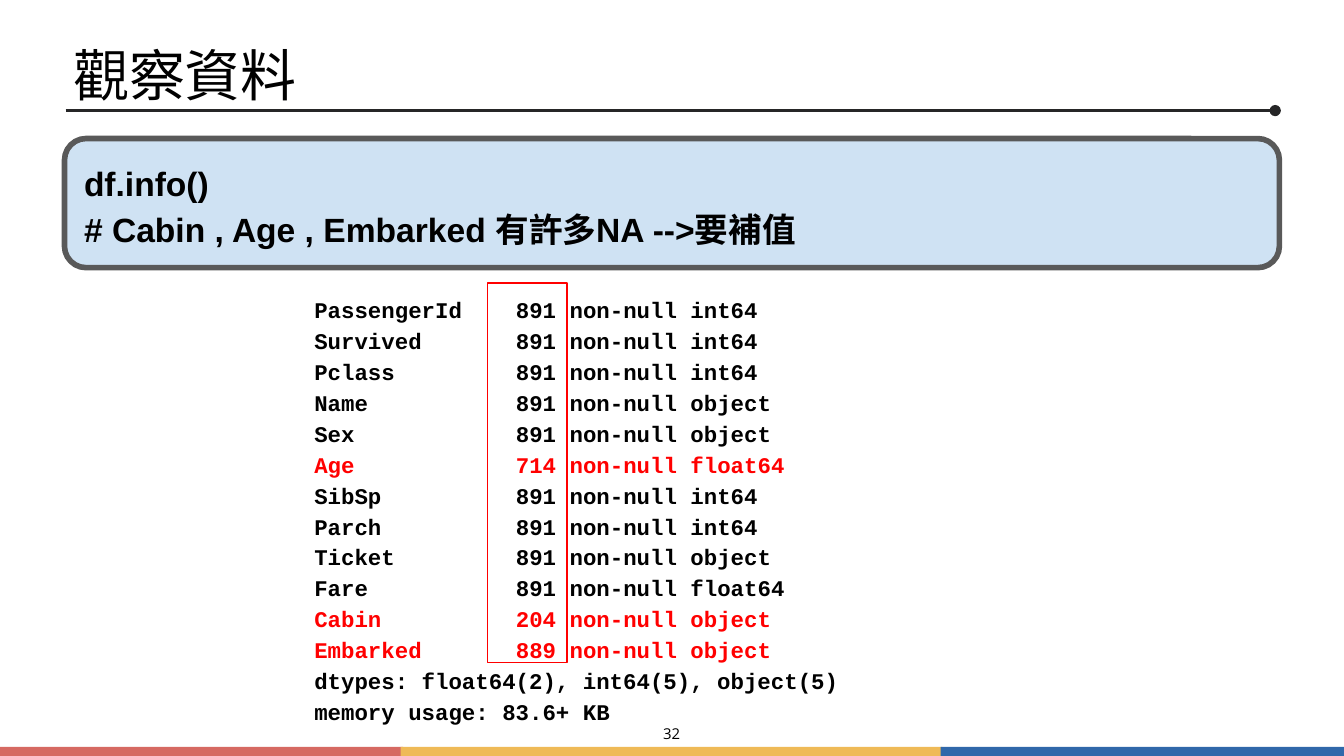
from dataclasses import dataclass

from lxml.etree import SubElement
from pptx import Presentation
from pptx.dml.color import RGBColor
from pptx.enum.shapes import MSO_CONNECTOR, MSO_SHAPE
from pptx.enum.text import MSO_ANCHOR, MSO_AUTO_SIZE, PP_ALIGN
from pptx.oxml.ns import qn
from pptx.shapes.autoshape import Shape
from pptx.slide import Slide
from pptx.text.text import TextFrame, _Paragraph
from pptx.util import Cm, Pt

BLACK = RGBColor(0x00, 0x00, 0x00)
RED = RGBColor(0xFF, 0x00, 0x00)
RULE_GREY = RGBColor(0x26, 0x26, 0x27)
BORDER_GREY = RGBColor(0x59, 0x59, 0x59)
PALE_BLUE = RGBColor(0xCF, 0xE2, 0xF3)
STRIPE_RED = RGBColor(0xD6, 0x69, 0x62)
STRIPE_YELLOW = RGBColor(0xEF, 0xBA, 0x57)
STRIPE_BLUE = RGBColor(0x30, 0x68, 0xAA)


@dataclass(frozen=True)
class Area:
    """A rectangle in centimetres."""
    left: float
    top: float
    width: float
    height: float

    def lengths(self) -> tuple[Cm, Cm, Cm, Cm]:
        return Cm(self.left), Cm(self.top), Cm(self.width), Cm(self.height)


@dataclass(frozen=True)
class Stripe:
    left: float
    width: float
    color: RGBColor


@dataclass(frozen=True)
class Column:
    name: str
    count: int
    dtype: str


STRIPES = [
    Stripe(-0.05, 7.67, STRIPE_RED),
    Stripe(7.57, 10.24, STRIPE_YELLOW),
    Stripe(17.78, 7.67, STRIPE_BLUE),
]
ROW_TOTAL = 891
COLUMNS = [
    Column("PassengerId", 891, "int64"),
    Column("Survived", 891, "int64"),
    Column("Pclass", 891, "int64"),
    Column("Name", 891, "object"),
    Column("Sex", 891, "object"),
    Column("Age", 714, "float64"),
    Column("SibSp", 891, "int64"),
    Column("Parch", 891, "int64"),
    Column("Ticket", 891, "object"),
    Column("Fare", 891, "float64"),
    Column("Cabin", 204, "object"),
    Column("Embarked", 889, "object"),
]
SUMMARY = ["dtypes: float64(2), int64(5), object(5)", "memory usage: 83.6+ KB"]
CALLOUT = ["df.info()", "# Cabin , Age , Embarked 有許多NA -->要補值"]


def set_frame(frame: TextFrame, inset: float, anchor: MSO_ANCHOR) -> None:
    frame.word_wrap = True
    frame.auto_size = MSO_AUTO_SIZE.NONE
    frame.vertical_anchor = anchor
    frame.margin_left = frame.margin_right = Cm(inset)
    frame.margin_top = frame.margin_bottom = Cm(inset)


def next_para(frame: TextFrame, index: int) -> _Paragraph:
    para = frame.paragraphs[0] if index == 0 else frame.add_paragraph()
    para.alignment = PP_ALIGN.LEFT
    para.line_spacing = 1.15
    return para


def add_span(para: _Paragraph, text: str, font: str, size: float,
             color: RGBColor = BLACK, bold: bool = False) -> None:
    span = para.add_run()
    span.text = text
    span.font.name = font
    span.font.size = Pt(size)
    span.font.bold = bold
    span.font.color.rgb = color


def add_block(page: Slide, kind: MSO_SHAPE, area: Area, fill: RGBColor | None = None,
              line: RGBColor | None = None, weight: float = 0) -> Shape:
    block = page.shapes.add_shape(kind, *area.lengths())
    block.shadow.inherit = False
    if fill is None:
        block.fill.background()
    else:
        block.fill.solid()
        block.fill.fore_color.rgb = fill
    if line is None:
        block.line.fill.background()
    else:
        block.line.color.rgb = line
        block.line.width = Pt(weight)
    return block


def add_title_rule(page: Slide) -> None:
    rule = page.shapes.add_connector(
        MSO_CONNECTOR.STRAIGHT, Cm(1.24), Cm(2.09), Cm(24.1), Cm(2.09))
    rule.line.color.rgb = RULE_GREY
    rule.line.width = Pt(2)
    SubElement(rule.line._get_or_add_ln(), qn("a:tailEnd"), type="oval")
    SubElement(rule._element.spPr, qn("a:effectLst"))


def add_title(page: Slide, text: str) -> None:
    title = page.shapes.title
    title.left, title.top, title.width, title.height = Area(1.3, 0.61, 16.26, 1.57).lengths()
    set_frame(title.text_frame, 0.08, MSO_ANCHOR.MIDDLE)
    para = title.text_frame.paragraphs[0]
    para.alignment = PP_ALIGN.LEFT
    add_span(para, text, "Arial", 30)


def add_callout(page: Slide) -> None:
    box = add_block(page, MSO_SHAPE.ROUNDED_RECTANGLE, Area(1.22, 2.62, 22.96, 2.44),
                    PALE_BLUE, BORDER_GREY, 3)
    set_frame(box.text_frame, 0.25, MSO_ANCHOR.MIDDLE)
    for index, text in enumerate(CALLOUT):
        add_span(next_para(box.text_frame, index), text, "Arial", 18, bold=True)


def add_listing(page: Slide) -> None:
    box = page.shapes.add_textbox(*Area(5.69, 4.7, 15.32, 9.17).lengths())
    frame = box.text_frame
    set_frame(frame, 0.25, MSO_ANCHOR.MIDDLE)
    frame.margin_top = Cm(0.91)
    lines = [(f"{column.name}\t{column.count} non-null {column.dtype}",
              RED if column.count < ROW_TOTAL else BLACK) for column in COLUMNS]
    lines += [(text, BLACK) for text in SUMMARY]
    for index, (text, color) in enumerate(lines):
        para = next_para(frame, index)
        if "\t" in text:
            tabs = SubElement(para._p.get_or_add_pPr(), qn("a:tabLst"))
            SubElement(tabs, qn("a:tab"), pos=str(Cm(3.81)), algn="l")
        add_span(para, text, "Courier New", 12, color, bold=True)


def add_page_number(page: Slide, number: int) -> None:
    box = page.shapes.add_textbox(*Area(12.34, 13.61, 0.71, 0.51).lengths())
    set_frame(box.text_frame, 0.08, MSO_ANCHOR.TOP)
    para = box.text_frame.paragraphs[0]
    para.alignment = PP_ALIGN.CENTER
    add_span(para, str(number), "Open Sans", 8)


def main() -> None:
    deck = Presentation()
    deck.slide_width, deck.slide_height = Cm(25.4), Cm(14.29)
    page = deck.slides.add_slide(deck.slide_layouts[5])

    # Footer stripes and heading
    for stripe in STRIPES:
        add_block(page, MSO_SHAPE.RECTANGLE,
                  Area(stripe.left, 14.12, stripe.width, 0.17), stripe.color)
    add_title_rule(page)
    add_title(page, "觀察資料")

    # Command and its output, with the counts framed
    add_callout(page)
    add_listing(page)
    add_block(page, MSO_SHAPE.RECTANGLE, Area(9.22, 5.35, 1.5, 7.18), line=RED, weight=0.75)

    add_page_number(page, 32)
    deck.save("out.pptx")


if __name__ == "__main__":
    main()
